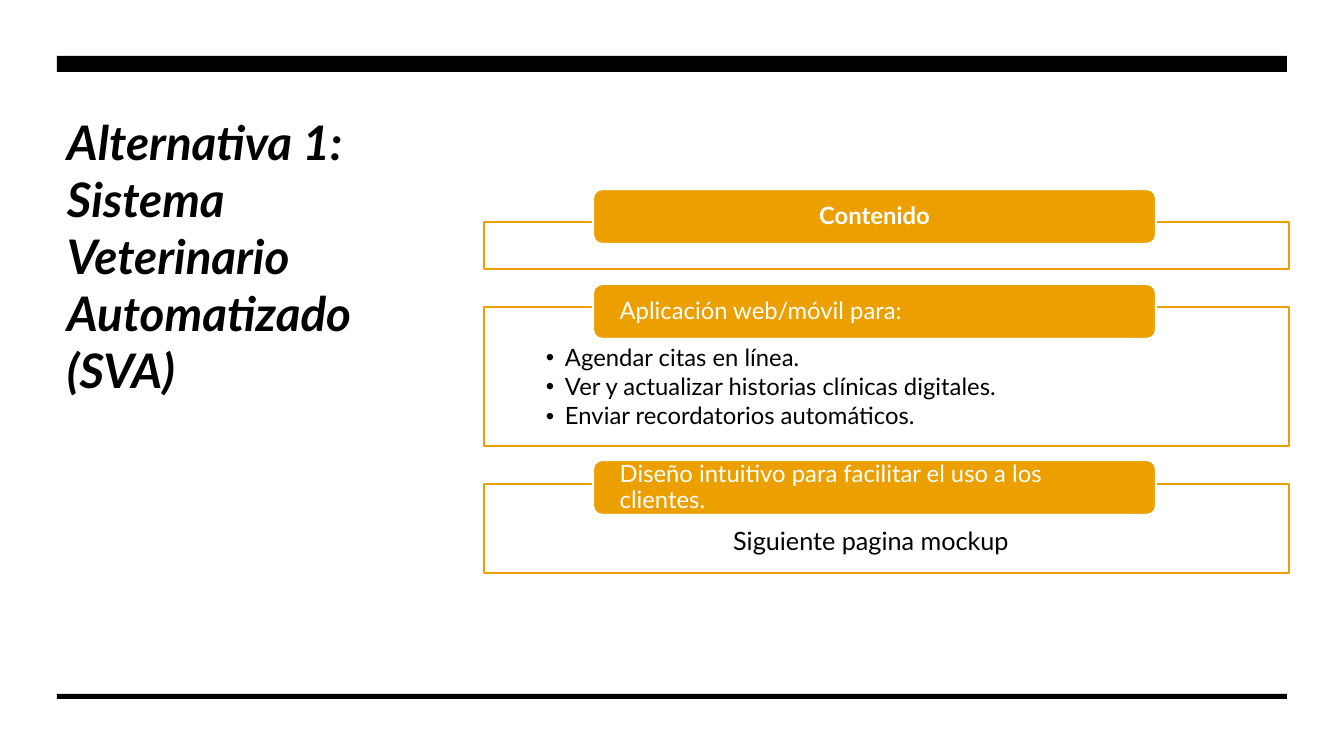
from pptx import Presentation
from pptx.dml.color import RGBColor
from pptx.enum.shapes import MSO_SHAPE as Preset
from pptx.enum.text import MSO_ANCHOR as Anchor, MSO_AUTO_SIZE as AutoSize, PP_ALIGN as Align
from pptx.util import Emu, Pt

COLORS = {"black": "000000", "white": "FFFFFF", "amber": "EBA000"}
SCALE = 914400 / 100.8


def px(length):
    return Emu(round(length * SCALE))


class SlideBuilder:
    """Draws the elements of one slide in a shared style."""

    font = "Lato"

    def __init__(self, deck):
        self.page = deck.slides.add_slide(deck.slide_layouts[1])

    def color(self, name):
        return RGBColor.from_string(COLORS[name])

    def place(self, shape, box):
        for name, length in zip(("left", "top", "width", "height"), box):
            setattr(shape, name, px(length))

    def paint(self, shape, fill, line=None):
        shape.fill.solid()
        shape.fill.fore_color.rgb = self.color(fill)
        if line:
            shape.line.color.rgb = self.color(line)
            shape.line.width = Pt(1.5)
        else:
            shape.line.fill.background()

    def set_text(self, shape, lines, size=17, color="black", align=Align.LEFT, anchor=Anchor.TOP,
                 insets=(10, 5, 10, 5), spacing=1.0, after=0, **style):
        frame = shape.text_frame
        frame.text = "\n".join(lines)
        margins = zip(("margin_left", "margin_top", "margin_right", "margin_bottom"), map(px, insets))
        layout = dict(margins, word_wrap=True, auto_size=AutoSize.NONE, vertical_anchor=anchor)
        for name, value in layout.items():
            setattr(frame, name, value)
        para_format = {"alignment": align, "line_spacing": spacing,
                       "space_before": Pt(0), "space_after": Pt(after)}
        span_format = {"name": self.font, "size": Pt(size), **style}
        for para in frame.paragraphs:
            for name, value in para_format.items():
                setattr(para, name, value)
            for span in para.runs:
                for name, value in span_format.items():
                    setattr(span.font, name, value)
                span.font.color.rgb = self.color(color)

    def title(self, box, text):
        shape = self.page.shapes.title
        self.place(shape, box)
        self.set_text(shape, [text], size=34, bold=True, italic=True)

    def bullets(self, box, lines):
        shape = self.page.placeholders[1]
        self.place(shape, box)
        self.paint(shape, "white", "amber")
        self.set_text(shape, lines, insets=(62, 39, 62, 13), spacing=0.9, after=2.5)
        for para in shape.text_frame.paragraphs:
            properties = para._p.get_or_add_pPr()
            properties.set("marL", str(px(19)))
            properties.set("indent", str(-px(19)))

    def block(self, box, fill, line=None, preset=Preset.RECTANGLE):
        shape = self.page.shapes.add_shape(preset, *map(px, box))
        shape.shadow.inherit = False
        self.paint(shape, fill, line)
        return shape

    def heading(self, box, text, **style):
        pill = self.block(box, "amber", "white", Preset.ROUNDED_RECTANGLE)
        self.set_text(pill, [text], color="white", anchor=Anchor.MIDDLE,
                      insets=(24, 0, 24, 0), spacing=0.9, **style)

    def note(self, box, text):
        shape = self.page.shapes.add_textbox(*map(px, box))
        self.set_text(shape, [text], size=18, align=Align.CENTER)


def main():
    deck = Presentation()
    deck.slide_width, deck.slide_height = px(1344), px(756)
    slide = SlideBuilder(deck)

    slide.title((57, 108, 348, 449), "Alternativa 1: Sistema Veterinario Automatizado (SVA)")
    for top, height in ((56, 16), (694, 5)):
        slide.block((57, top, 1230, height), "black")

    frame_left, frame_width = 484, 805
    slide.bullets((frame_left, 307, frame_width, 139), [
        "Agendar citas en línea.",
        "Ver y actualizar historias clínicas digitales.",
        "Enviar recordatorios automáticos.",
    ])
    for top, height in ((222, 47), (484, 89)):
        slide.block((frame_left, top, frame_width, height), "white", "amber")

    headings = (
        (189, "Contenido", {"align": Align.CENTER, "bold": True}),
        (284, "Aplicación web/móvil para:", {}),
        (460, "Diseño intuitivo para facilitar el uso a los clientes.", {}),
    )
    for top, text, style in headings:
        slide.heading((593, top, 563, 55), text, **style)

    slide.note((646, 520, 450, 40), "Siguiente pagina mockup")
    deck.save("out.pptx")


if __name__ == "__main__":
    main()
